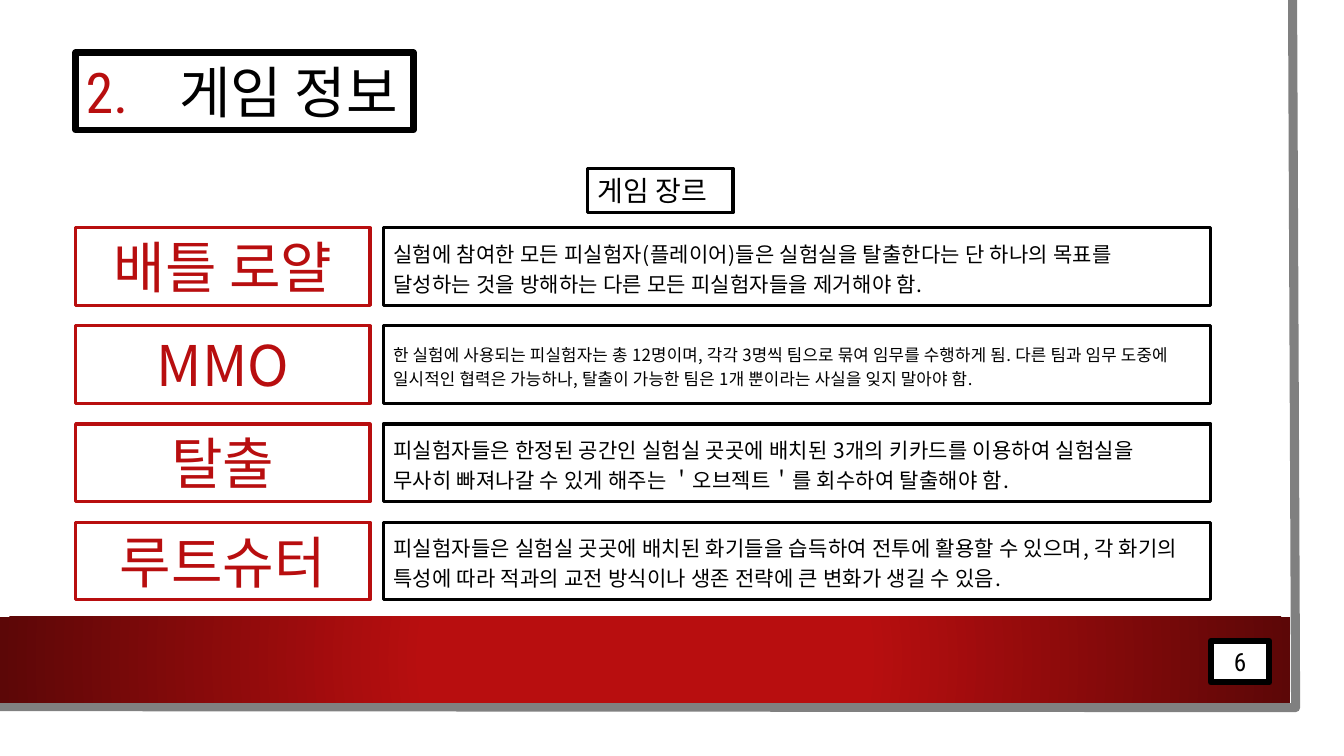
"""Build the game genre slide."""
from lxml import etree
from pptx import Presentation
from pptx.dml.color import RGBColor
from pptx.enum.shapes import MSO_SHAPE
from pptx.enum.text import MSO_ANCHOR, MSO_AUTO_SIZE, PP_ALIGN
from pptx.oxml import parse_xml
from pptx.oxml.ns import nsdecls, qn
from pptx.util import Inches, Pt

RECTANGLE = MSO_SHAPE.RECTANGLE
TOP, MIDDLE = MSO_ANCHOR.TOP, MSO_ANCHOR.MIDDLE
LEFT, CENTER = PP_ALIGN.LEFT, PP_ALIGN.CENTER
NO_FIT = MSO_AUTO_SIZE.NONE
BLACK = RGBColor(0x00, 0x00, 0x00)
WHITE = RGBColor(0xFF, 0xFF, 0xFF)
GRAY = RGBColor(0x80, 0x80, 0x80)
RED = RGBColor(0xB8, 0x0E, 0x0F)
DARK_RED = RGBColor(0x5C, 0x07, 0x07)
KOREAN_FONT = "Noto Sans CJK KR"
NUMBER_FONT = "Roboto Condensed"

GENRES = [
    ("배틀 로얄", 15, "실험에 참여한 모든 피실험자(플레이어)들은 실험실을 탈출한다는 단 하나의 목표를 "
     "달성하는 것을 방해하는 다른 모든 피실험자들을 제거해야 함."),
    ("MMO", 12, "한 실험에 사용되는 피실험자는 총 12명이며, 각각 3명씩 팀으로 묶여 임무를 수행하게 됨. "
     "다른 팀과 임무 도중에 일시적인 협력은 가능하나, 탈출이 가능한 팀은 1개 뿐이라는 사실을 잊지 말아야 함."),
    ("탈출", 15, "피실험자들은 한정된 공간인 실험실 곳곳에 배치된 3개의 키카드를 이용하여 실험실을 "
     "무사히 빠져나갈 수 있게 해주는 ＇오브젝트＇를 회수하여 탈출해야 함."),
    ("루트슈터", 15, "피실험자들은 실험실 곳곳에 배치된 화기들을 습득하여 전투에 활용할 수 있으며, "
     "각 화기의 특성에 따라 적과의 교전 방식이나 생존 전략에 큰 변화가 생길 수 있음."),
]
FIRST_ROW_TOP, LAST_ROW_TOP = 2.26, 5.18
ROW_STEP = (LAST_ROW_TOP - FIRST_ROW_TOP) / (len(GENRES) - 1)
ROW_HEIGHT = 0.77


class GameSlide:
    """Holds the slide and draws its elements in one style."""

    def __init__(self, deck):
        self.slide = deck.slides.add_slide(deck.slide_layouts[5])
        self.shapes = self.slide.shapes

    def rectangle(self, left, top, width, height):
        """Add a plain white rectangle."""
        box = self.shapes.add_shape(RECTANGLE, Inches(left), Inches(top),
                                    Inches(width), Inches(height))
        box.shadow.inherit = False
        box.fill.solid()
        box.fill.fore_color.rgb = WHITE
        box.line.fill.background()
        return box

    def outline(self, box, color, weight):
        """Give a box its border."""
        box.line.color.rgb = color
        box.line.width = Pt(weight)

    def edge(self, points):
        """Add the gray page edge."""
        start, *others = [(Inches(x), Inches(y)) for x, y in points]
        builder = self.shapes.build_freeform(*start)
        builder.add_line_segments(others, close=False)
        line = builder.convert_to_shape()
        line.shadow.inherit = False
        line.fill.background()
        self.outline(line, GRAY, 6.5)

    def band(self, left, top, width, height):
        """Add the red band with a radial gradient."""
        band = self.rectangle(left, top, width, height)
        gradient = parse_xml(
            f'<a:gradFill {nsdecls("a")} rotWithShape="1"><a:gsLst>'
            f'<a:gs pos="34000"><a:srgbClr val="{RED}"/></a:gs>'
            f'<a:gs pos="100000"><a:srgbClr val="{DARK_RED}"/></a:gs></a:gsLst>'
            '<a:path path="circle"><a:fillToRect l="50000" t="50000" r="50000" b="50000"/>'
            '</a:path></a:gradFill>')
        properties = band._element.spPr
        properties.replace(properties.find(qn("a:solidFill")), gradient)

    def style(self, frame, size, color, font, align, anchor, spacing):
        """Format the single paragraph of a text frame."""
        frame.word_wrap = True
        frame.auto_size = NO_FIT
        frame.vertical_anchor = anchor
        para = frame.paragraphs[0]
        para.alignment = align
        para.line_spacing = spacing
        para.font.size = Pt(size)
        para.font.color.rgb = color
        para.font.name = font
        return para

    def east_asian(self, para):
        """Use each Latin font for Korean letters as well."""
        for latin in list(para._p.iter(qn("a:latin"))):
            korean = etree.Element(qn("a:ea"), typeface=latin.get("typeface"))
            latin.addnext(korean)

    def text_box(self, place, text, size, color=BLACK, border=BLACK, weight=2.25,
                 font=KOREAN_FONT, align=LEFT, anchor=TOP, spacing=1.0):
        """Add a bordered box with one paragraph and return its text frame."""
        box = self.rectangle(*place)
        self.outline(box, border, weight)
        frame = box.text_frame
        frame.text = text
        self.east_asian(self.style(frame, size, color, font, align, anchor, spacing))
        return frame

    def description(self, place, text, size):
        """Add a genre description with slightly open letters."""
        frame = self.text_box(place, text, size, anchor=MIDDLE, spacing=1.2)
        frame.margin_right = Inches(0.2)
        letters = frame.paragraphs[0]._p.pPr.find(qn("a:defRPr"))
        letters.set("spc", str(round(size * 1.2)))

    def title(self, place, number, text):
        """Place the numbered title above the backdrop."""
        title = self.shapes.title
        self.shapes._spTree.append(title._element)
        title.left, title.top, title.width, title.height = map(Inches, place)
        title.fill.solid()
        title.fill.fore_color.rgb = WHITE
        self.outline(title, BLACK, 4.5)
        para = title.text_frame.paragraphs[0]
        stops = etree.SubElement(para._p.get_or_add_pPr(), qn("a:tabLst"))
        etree.SubElement(stops, qn("a:tab"), pos=str(Inches(0.93)), algn="l")
        self.style(title.text_frame, 40, BLACK, KOREAN_FONT, LEFT, TOP, 1.0)
        span = para.add_run()
        span.text = number + "\t"
        span.font.color.rgb = RED
        span.font.name = NUMBER_FONT
        para.add_run().text = text
        self.east_asian(para)


def main():
    """Build and save the deck."""
    deck = Presentation()
    deck.slide_width, deck.slide_height = Inches(13.33), Inches(7.5)
    page = GameSlide(deck)
    page.rectangle(0, 0, 13.1, 7.27)
    page.edge([(12.82, 0), (12.85, 7.02), (0, 7.01)])
    page.band(0, 6.12, 12.8, 0.85)
    page.title((0.75, 0.52, 3.35, 0.77), "2.", "게임 정보")
    page.text_box((12.01, 6.36, 0.58, 0.41), "6", 18, weight=4.5,
                  font=NUMBER_FONT, align=CENTER, anchor=MIDDLE)
    page.text_box((5.83, 1.67, 1.44, 0.44), "게임 장르", 20)
    for row, (genre, size, description) in enumerate(GENRES):
        top = FIRST_ROW_TOP + row * ROW_STEP
        page.text_box((0.75, top, 2.92, ROW_HEIGHT), genre, 40, color=RED,
                      border=RED, align=CENTER)
        page.description((3.8, top, 8.21, ROW_HEIGHT), description, size)
    deck.save("out.pptx")


if __name__ == "__main__":
    main()
